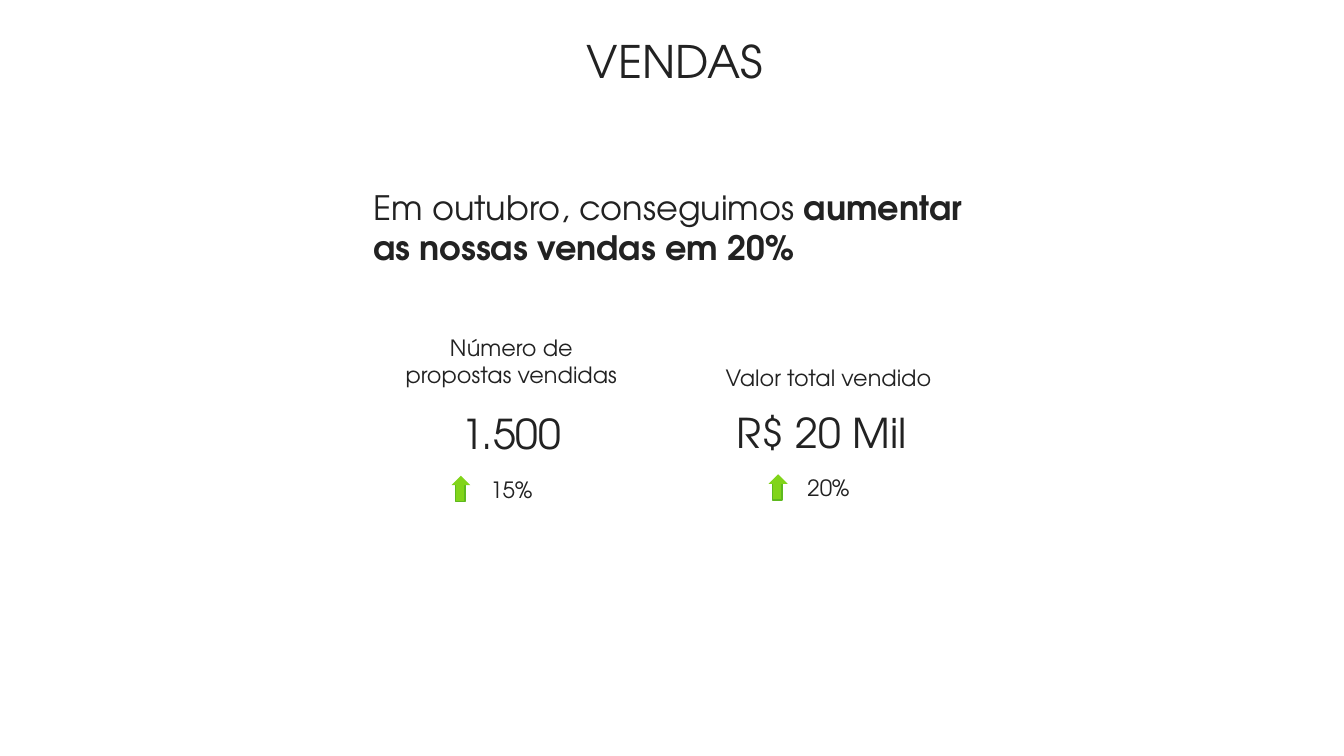
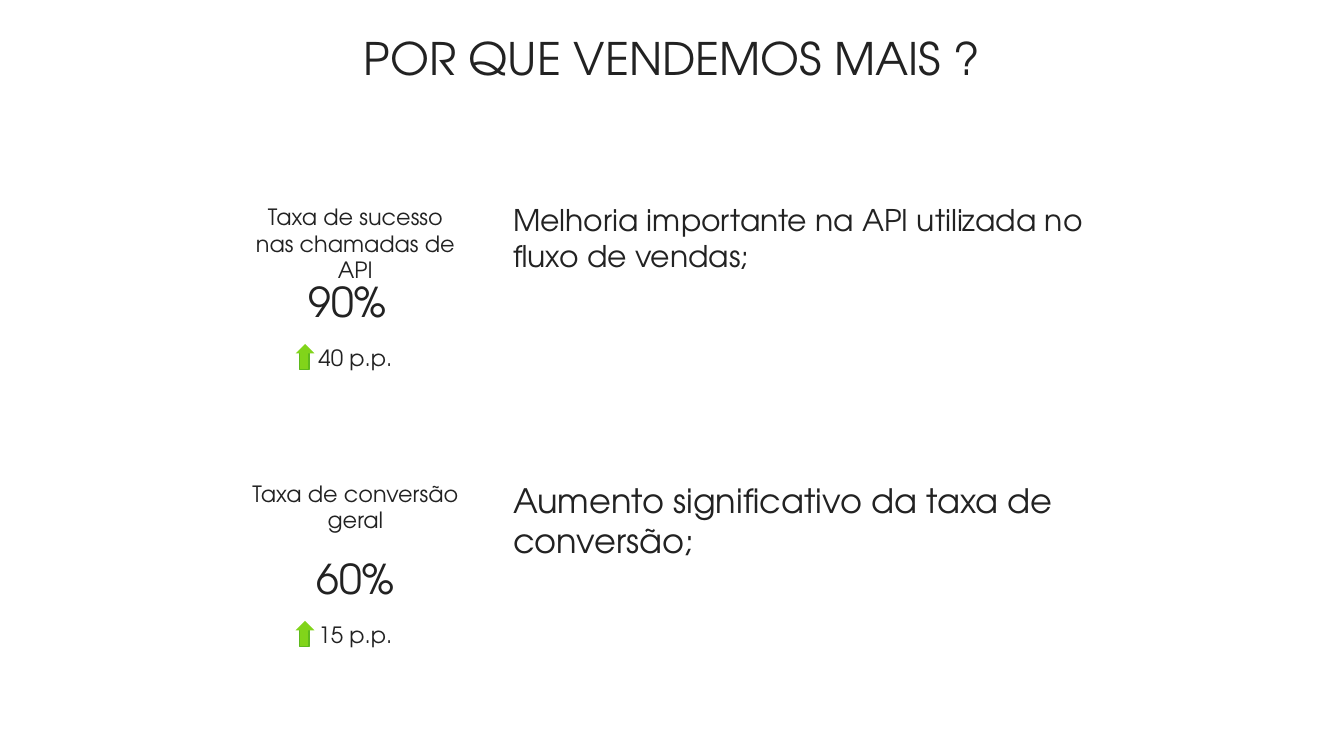
from pptx import Presentation
from pptx import util as u
from pptx.dml.color import RGBColor
from pptx.enum import shapes, text

FONT = "TeX Gyre Adventor"
INK, GREEN, GREEN_EDGE = "222222", "81D41A", "5EB91E"
LABEL_SIZE, VALUE_SIZE, TITLE_SIZE = 12, 22, 24
METRIC_WIDTH = 1.77

# Content: boxes are (left, top, width, height) in inches.
# A statement is (box, size, [(words, bold), ...]).
# "top" of a metric is where its value starts; the label sits right above it.
SLIDES = [
    {
        "title": ("VENDAS", (3.74, 0.2, 2.56, 0.55)),
        "metrics": [
            {"label": "Número de propostas vendidas", "value": "1.500", "change": "15%",
             "left": 2.92, "top": 2.99, "label_height": 0.55, "value_box": (2.92, 1.77)},
            {"label": "Valor total vendido", "value": "R$ 20 Mil", "change": "20%",
             "left": 5.28, "top": 2.98, "label_height": 0.32, "value_box": (5.13, 1.97)},
        ],
        "statements": [
            ((2.68, 1.34, 4.63, 1.1), 18,
             [("Em outubro, conseguimos ", False), ("aumentar as nossas vendas em 20%", True)]),
        ],
    },
    {
        "title": ("POR QUE VENDEMOS MAIS ?", (2.35, 0.18, 5.3, 0.55)),
        "metrics": [
            {"label": "Taxa de conversão geral", "value": "60%", "change": "15 p.p.",
             "left": 1.76, "top": 4.07, "label_height": 0.55, "value_box": (1.76, 1.77)},
            {"label": "Taxa de sucesso nas chamadas de API", "value": "90%", "change": "40 p.p.",
             "left": 1.76, "top": 2.01, "label_height": 0.55, "value_box": (1.6, 1.97)},
        ],
        "statements": [
            ((3.72, 1.45, 4.63, 0.72), 16,
             [("Melhoria importante na API utilizada no fluxo de vendas;", False)]),
            ((3.72, 3.52, 5, 0.7), 18,
             [("Aumento significativo da taxa de conversão;", False)]),
        ],
    },
]


def color(hex_string):
    return RGBColor.from_string(hex_string)


def add_text(slide, box, size, runs, align=text.PP_ALIGN.CENTER):
    frame = slide.shapes.add_textbox(*map(u.Inches, box)).text_frame
    frame.word_wrap = True
    paragraph = frame.paragraphs[0]
    paragraph.alignment = align
    for words, bold in runs:
        run = paragraph.add_run()
        run.text = words
        run.font.name = FONT
        run.font.size = u.Pt(size)
        run.font.bold = bold
        run.font.color.rgb = color(INK)


def paint(shape):
    shape.shadow.inherit = False
    shape.fill.solid()
    shape.fill.fore_color.rgb = color(GREEN)


def add_up_arrow(slide, center, top):
    """Group a stem and a triangular head with its tip at (center, top)."""
    group = slide.shapes.add_group_shape()
    stem = group.shapes.add_shape(
        shapes.MSO_SHAPE.RECTANGLE,
        *map(u.Inches, (center - 0.04, top + 0.05, 0.07, 0.14)))
    paint(stem)
    stem.line.color.rgb = color(GREEN_EDGE)
    stem.line.width = u.Pt(0)

    tip, right, left = [
        (u.Inches(center + dx), u.Inches(top + dy))
        for dx, dy in ((0, 0), (0.07, 0.07), (-0.07, 0.07))]
    builder = group.shapes.build_freeform(*tip)
    builder.add_line_segments([right, left], close=True)
    head = builder.convert_to_shape()
    paint(head)
    head.line.fill.background()


def add_metric(slide, metric):
    left, top, height = metric["left"], metric["top"], metric["label_height"]
    value_left, value_width = metric["value_box"]
    parts = [
        ("label", (left, top - height, METRIC_WIDTH, height), LABEL_SIZE),
        ("value", (value_left, top, value_width, 0.51), VALUE_SIZE),
        ("change", (left, top + 0.5, METRIC_WIDTH, 0.32), LABEL_SIZE),
    ]
    for part, box, size in parts:
        add_text(slide, box, size, [(metric[part], False)])
    add_up_arrow(slide, left + 0.51, top + 0.55)


def main():
    presentation = Presentation()
    # Widescreen 16:9
    presentation.slide_width = u.Inches(10)
    presentation.slide_height = u.Inches(10 * 9 / 16)
    for content in SLIDES:
        slide = presentation.slides.add_slide(presentation.slide_layouts[6])
        title, title_box = content["title"]
        add_text(slide, title_box, TITLE_SIZE, [(title, False)])
        for metric in content["metrics"]:
            add_metric(slide, metric)
        for box, size, runs in content["statements"]:
            add_text(slide, box, size, runs, text.PP_ALIGN.LEFT)
    presentation.save("out.pptx")


if __name__ == "__main__":
    main()
